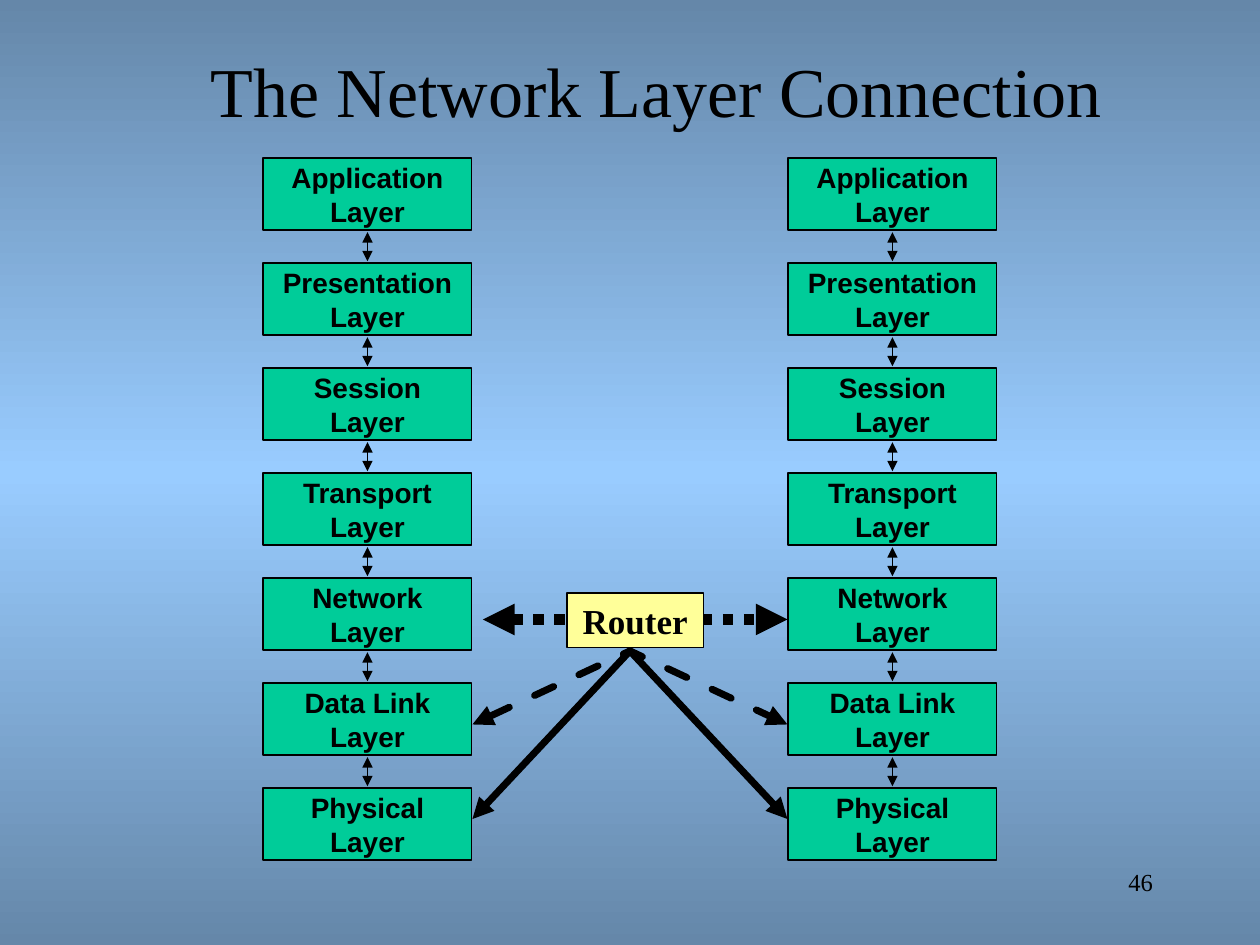
from copy import deepcopy
from dataclasses import dataclass

from lxml import etree
from pptx import Presentation
from pptx.dml import color
from pptx.enum import dml, shapes, text
from pptx.oxml import ns
from pptx.util import Pt

BLACK = "000000"
SERIF = "Times New Roman"
LAYERS = ["Application", "Presentation", "Session", "Transport",
          "Network", "Data Link", "Physical"]
STACK_LEFTS = [150.5, 450.5]
STACK_TOP, LAYER_PITCH = 90.5, 60
LAYER_WIDTH, LAYER_HEIGHT = 119, 41
ARROW_GAP = 1.2


@dataclass
class Box:
    left: float
    top: float
    width: float
    height: float
    fill: str


@dataclass
class Route:
    points: list[tuple[float, float]]
    dash: dml.MSO_LINE | None = None


def rgb(value: str) -> color.RGBColor:
    return color.RGBColor.from_string(value)


def write(frame, content: str, *, size: float, font: str = SERIF,
          bold: bool = False, align=text.PP_ALIGN.CENTER,
          anchor=text.MSO_ANCHOR.MIDDLE, wrap: bool = True) -> None:
    frame.auto_size = text.MSO_AUTO_SIZE.NONE
    frame.word_wrap = wrap
    frame.vertical_anchor = anchor
    frame.margin_left = frame.margin_right = Pt(7.2)
    frame.margin_top = frame.margin_bottom = Pt(3.6)
    paragraph = frame.paragraphs[0]
    paragraph.text = content
    paragraph.alignment = align
    for run in paragraph.runs:
        run.font.size = Pt(size)
        run.font.name = font
        run.font.bold = bold
        run.font.color.rgb = rgb(BLACK)


def draw_box(parent, box: Box):
    rectangle = parent.add_shape(
        shapes.MSO_SHAPE.RECTANGLE, Pt(box.left), Pt(box.top),
        Pt(box.width), Pt(box.height))
    rectangle.shadow.inherit = False
    rectangle.fill.solid()
    rectangle.fill.fore_color.rgb = rgb(box.fill)
    rectangle.line.color.rgb = rgb(BLACK)
    rectangle.line.width = Pt(1)
    return rectangle.text_frame


def style_arrow(arrow, width: float, dash=None) -> None:
    arrow.line.color.rgb = rgb(BLACK)
    arrow.line.width = Pt(width)
    if dash is not None:
        arrow.line.dash_style = dash
    outline = arrow.line._get_or_add_ln()
    for end in ("a:headEnd", "a:tailEnd"):
        etree.SubElement(outline, ns.qn(end), type="triangle")


def draw_arrow(parent, start: tuple[float, float], end: tuple[float, float],
               width: float, dash=None) -> None:
    arrow = parent.add_connector(
        shapes.MSO_CONNECTOR.STRAIGHT, *(Pt(v) for v in (*start, *end)))
    style_arrow(arrow, width, dash)
    etree.SubElement(arrow.element.spPr, ns.qn("a:effectLst"))


def draw_route(parent, route: Route) -> None:
    builder = parent.build_freeform(*route.points[0], scale=Pt(1))
    builder.add_line_segments(route.points[1:], close=False)
    path = builder.convert_to_shape()
    path.shadow.inherit = False
    path.fill.background()
    style_arrow(path, 4, route.dash)
    outline = path.line._get_or_add_ln()
    outline.set("cap", "rnd")
    outline.find(ns.qn("a:headEnd")).addprevious(
        etree.Element(ns.qn("a:round")))


def draw_stack(parent, left: float) -> None:
    stack = parent.add_group_shape().shapes
    center = left + LAYER_WIDTH / 2
    for row, layer in enumerate(LAYERS):
        top = STACK_TOP + row * LAYER_PITCH
        frame = draw_box(stack, Box(left, top, LAYER_WIDTH, LAYER_HEIGHT, "00CC99"))
        write(frame, f"{layer}\nLayer", size=16, font="Arial", bold=True, wrap=False)
        if row < len(LAYERS) - 1:
            draw_arrow(stack, (center, top + LAYER_HEIGHT + ARROW_GAP),
                       (center, top + LAYER_PITCH - ARROW_GAP), 1)


def paint_background(slide) -> None:
    fill = slide.background.fill
    fill.gradient()
    fill.gradient_angle = 270
    stops = slide.element.find(f".//{ns.qn('a:gsLst')}")
    stops.insert(1, deepcopy(stops[0]))
    for stop, position, shade in zip(
            fill.gradient_stops, (0, 0.5, 1), ("6587A9", "99CCFF", "6587A9")):
        stop.position = position
        stop.color.rgb = rgb(shade)


def main() -> None:
    deck = Presentation()
    deck.slide_width, deck.slide_height = Pt(720), Pt(540)
    slide = deck.slides.add_slide(deck.slide_layouts[5])
    paint_background(slide)
    canvas = slide.shapes

    title = canvas.title
    title.left, title.top, title.width, title.height = (
        Pt(v) for v in (30, 24, 690, 54))
    write(title.text_frame, "The Network Layer Connection", size=40)

    number = canvas.add_textbox(Pt(516), Pt(492), Pt(150), Pt(36))
    write(number.text_frame, "46", size=14, align=text.PP_ALIGN.RIGHT,
          anchor=text.MSO_ANCHOR.TOP)

    for left in STACK_LEFTS:
        draw_stack(canvas, left)

    draw_arrow(canvas, (276, 354), (450, 354), 6, dml.MSO_LINE.ROUND_DOT)
    router = draw_box(canvas, Box(324, 339, 78, 31, "FFFF99"))
    write(router, "Router", size=20, bold=True)

    for route in (Route([(270, 468), (360, 372), (450, 468)]),
                  Route([(270, 414), (360, 372), (450, 414)], dml.MSO_LINE.DASH)):
        draw_route(canvas, route)

    deck.save("out.pptx")


if __name__ == "__main__":
    main()
